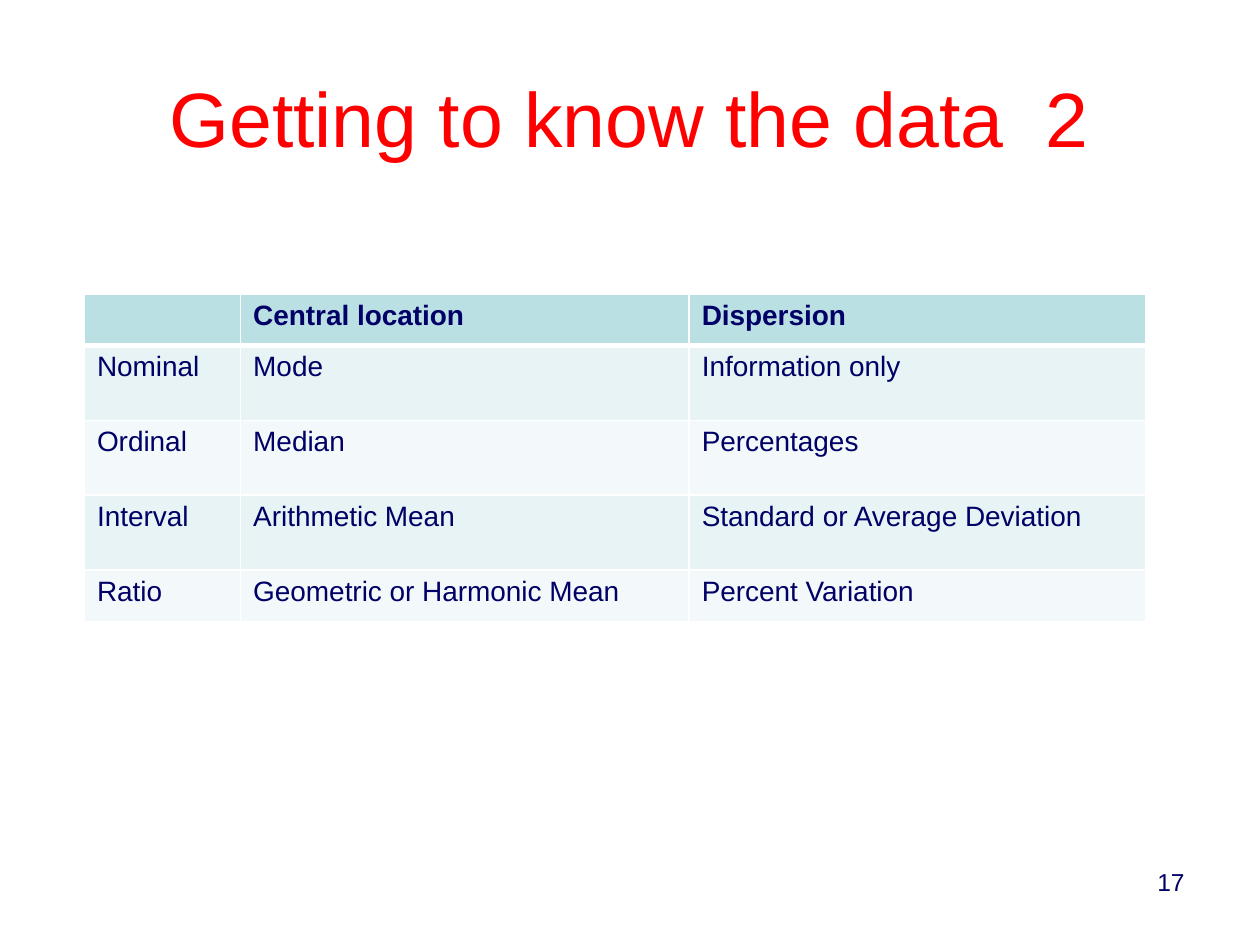
from pptx import Presentation
from pptx.dml.color import RGBColor
from pptx.enum.text import MSO_ANCHOR, PP_ALIGN
from pptx.oxml import parse_xml
from pptx.oxml.ns import nsdecls
from pptx.util import Pt

COLORS = {"title": "FF0000", "text": "000066", "header": "BBE0E3",
          "odd": "E7F3F4", "even": "F3F9FA", "border": "FFFFFF"}
ROWS = [
    ("", "Central location", "Dispersion"),
    ("Nominal", "Mode", "Information only"),
    ("Ordinal", "Median", "Percentages"),
    ("Interval", "Arithmetic Mean", "Standard or Average Deviation"),
    ("Ratio", "Geometric or Harmonic Mean", "Percent Variation"),
]
COLUMN_WIDTHS = (89.28, 256.32, 260.64)
ROW_HEIGHTS = (29.4, 42.8, 42.8, 42.8, 29.4)


class SlideBuilder:
    """Holds the text style and the current slide, and adds elements to it."""

    def __init__(self, page, font="Arial"):
        self.page = page
        self.font = font

    def add_span(self, frame, text, size, color, align=PP_ALIGN.LEFT, bold=False):
        para = frame.paragraphs[0]
        para.alignment = align
        span = para.add_run()
        span.text = text
        formats = {"name": self.font, "size": Pt(size), "bold": bold}
        for name, value in formats.items():
            setattr(span.font, name, value)
        span.font.color.rgb = RGBColor.from_string(COLORS[color])

    def text(self, bounds, text, size, color, align, anchor=MSO_ANCHOR.TOP):
        box = self.page.shapes.add_textbox(*map(Pt, bounds))
        formats = {"word_wrap": True, "vertical_anchor": anchor}
        for name, value in formats.items():
            setattr(box.text_frame, name, value)
        self.add_span(box.text_frame, text, size, color, align)

    def border(self, cell, side, width):
        properties = cell._tc.get_or_add_tcPr()
        line = parse_xml(
            f'<a:{side} {nsdecls("a")} w="{Pt(width)}"><a:solidFill>'
            f'<a:srgbClr val="{COLORS["border"]}"/></a:solidFill></a:{side}>')
        properties.append(line)

    def cell(self, cell, text, row):
        header = row == 0
        widths = {"lnL": 1, "lnR": 1, "lnT": 3 if row == 1 else 1, "lnB": 3 if header else 1}
        for side, width in widths.items():
            self.border(cell, side, width)
        fill = "header" if header else ("even", "odd")[row % 2]
        cell.fill.solid()
        cell.fill.fore_color.rgb = RGBColor.from_string(COLORS[fill])
        if text:
            self.add_span(cell.text_frame, text, 16, "text", bold=header)

    def table(self, left, top, rows, widths, heights):
        bounds = map(Pt, (left, top, sum(widths), sum(heights)))
        table = self.page.shapes.add_table(len(rows), len(widths), *bounds).table
        for column, width in zip(table.columns, widths):
            column.width = Pt(width)
        for row, (texts, height) in enumerate(zip(rows, heights)):
            table.rows[row].height = Pt(height)
            for column, text in enumerate(texts):
                self.cell(table.cell(row, column), text, row)


def main():
    deck = Presentation()
    deck.slide_width, deck.slide_height = Pt(720), Pt(540)
    builder = SlideBuilder(deck.slides.add_slide(deck.slide_layouts[6]))
    builder.text((516.24, 491.76, 167.76, 37.44), "17", 14, "text", PP_ALIGN.RIGHT)
    builder.text((36, 21.6, 648, 90), "Getting to know the data  2", 44, "title",
                 PP_ALIGN.CENTER, MSO_ANCHOR.MIDDLE)
    builder.table(48.24, 168, ROWS, COLUMN_WIDTHS, ROW_HEIGHTS)
    deck.save("out.pptx")


if __name__ == "__main__":
    main()
